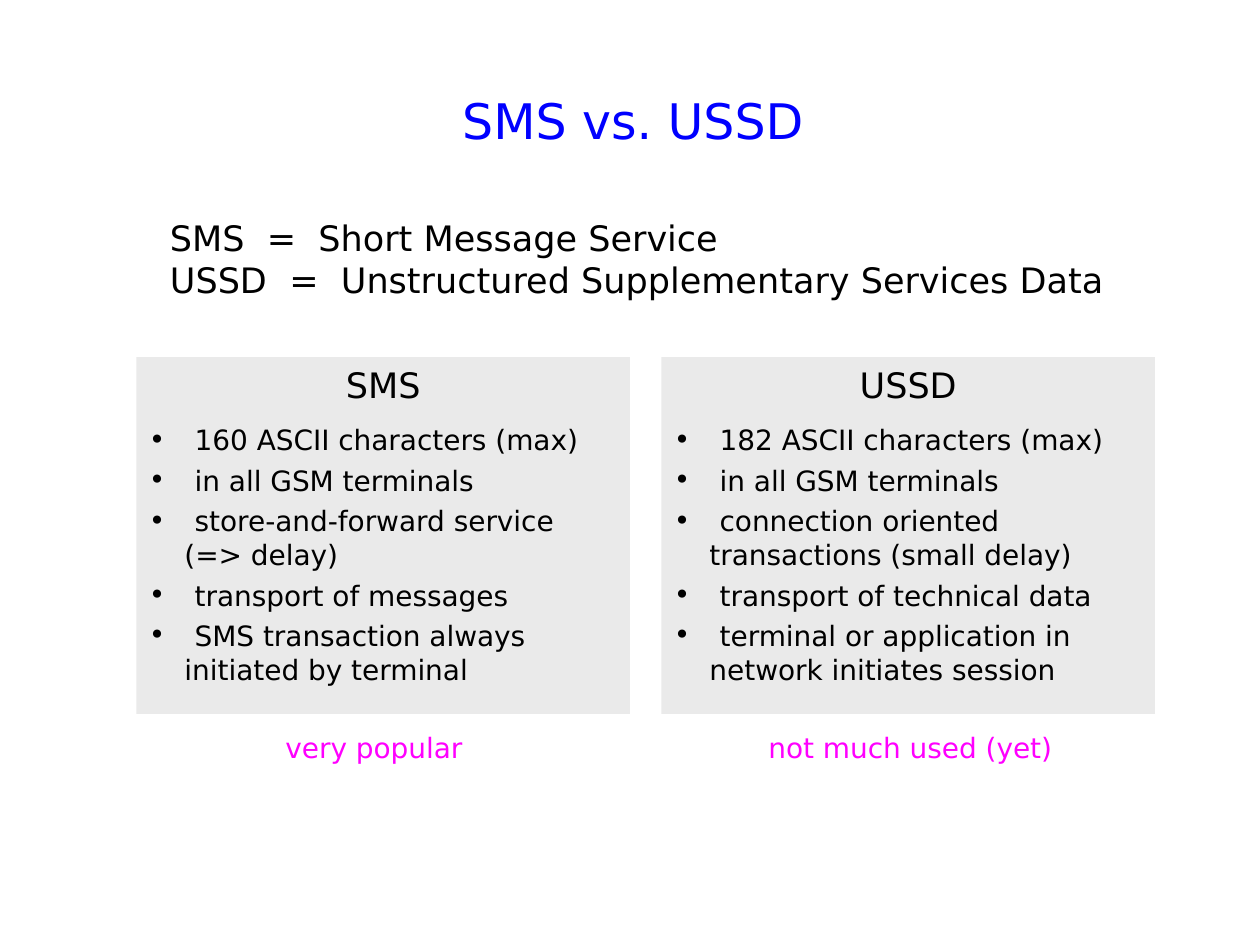
from typing import NamedTuple

from lxml.etree import SubElement as Sub
from pptx import Presentation
from pptx.dml.color import RGBColor as Rgb
from pptx.enum.shapes import MSO_SHAPE as Kind
from pptx.enum.text import MSO_ANCHOR as Anchor, PP_ALIGN as Align
from pptx.oxml.ns import qn
from pptx.util import Pt

HUES = {"title": "0000FF", "text": "000000", "panel": "EAEAEA", "note": "FF00FF"}
FACE = "DejaVu Sans"
HANG = 26.2  # bullet to text
STEP = 20.35  # indent of a second line
GAP = 29.5  # equals sign to meaning


class Box(NamedTuple):
    left: float
    top: float
    width: float
    height: float


class Term(NamedTuple):
    text: str
    stop: float


class Panel(NamedTuple):
    left: float
    head: str
    items: list[tuple[str, ...]]
    note: str
    spot: Box


TERMS = [
    Term("SMS\t=\tShort Message Service", 55.4),
    Term("USSD\t=\tUnstructured Supplementary Services Data", 68.2),
]
PANELS = [
    Panel(78, "SMS", [
        ("160 ASCII characters (max)",),
        ("in all GSM terminals",),
        ("store-and-forward service", "(=> delay)"),
        ("transport of messages",),
        ("SMS transaction always", "initiated by terminal"),
    ], "very popular", Box(156, 414, 120, 30)),
    Panel(378, "USSD", [
        ("182 ASCII characters (max)",),
        ("in all GSM terminals",),
        ("connection oriented", "transactions (small delay)"),
        ("transport of technical data",),
        ("terminal or application in", "network initiates session"),
    ], "not much used (yet)", Box(432, 414, 194.4, 30)),
]


def style(para, size: float, hue: str = "text", **form) -> None:
    form = {"alignment": Align.LEFT, "space_before": Pt(0), "space_after": Pt(0)} | form
    for name, value in form.items():
        setattr(para, name, value)
    for name, value in {"name": FACE, "size": Pt(size)}.items():
        setattr(para.font, name, value)
    para.font.color.rgb = Rgb.from_string(HUES[hue])


def indent(para, left: float, first: float = 0) -> None:
    props = para._p.get_or_add_pPr()
    props.set("marL", str(Pt(left)))
    props.set("indent", str(Pt(first)))


def bullet(para) -> None:
    indent(para, HANG, -HANG)
    props = para._p.get_or_add_pPr()
    tint = Sub(props, qn("a:buClr"))
    Sub(tint, qn("a:srgbClr"), val=HUES["text"])
    Sub(props, qn("a:buFont"), typeface=FACE)
    Sub(props, qn("a:buChar"), char="•")


def tabs(para, *stops: float) -> None:
    row = Sub(para._p.get_or_add_pPr(), qn("a:tabLst"))
    for stop in stops:
        Sub(row, qn("a:tab"), pos=str(Pt(stop)), algn="l")


def add_box(slide, box: Box):
    frame = slide.shapes.add_textbox(*map(Pt, box)).text_frame
    frame.word_wrap = True
    return frame


def add_line(slide, box: Box, text: str, size: float, hue: str, **form) -> None:
    para = add_box(slide, box).paragraphs[0]
    para.text = text
    style(para, size, hue, **form)


def add_terms(slide) -> None:
    frame = add_box(slide, Box(90, 120, 588, 55.2))
    for i, term in enumerate(TERMS):
        para = frame.add_paragraph() if i else frame.paragraphs[0]
        para.text = term.text
        tabs(para, term.stop, term.stop + GAP)
        style(para, 20)


def add_panel(slide, panel: Panel) -> None:
    box = Box(panel.left, 204, 282, 204)
    shape = slide.shapes.add_shape(Kind.RECTANGLE, *map(Pt, box))
    shape.shadow.inherit = False
    shape.fill.solid()
    shape.fill.fore_color.rgb = Rgb.from_string(HUES["panel"])
    shape.line.fill.background()
    frame = shape.text_frame
    frame.word_wrap = True
    frame.vertical_anchor = Anchor.TOP
    head = frame.paragraphs[0]
    head.text = panel.head
    style(head, 20, alignment=Align.CENTER, space_after=Pt(10))
    for item in panel.items:
        for i, text in enumerate(item):
            para = frame.add_paragraph()
            para.text = text
            if i:
                indent(para, STEP)
            else:
                bullet(para)
            last = i == len(item) - 1
            style(para, 16, space_after=Pt(4 if last else 0))
    add_line(slide, panel.spot, panel.note, 16, "note")


def main() -> None:
    deck = Presentation()
    deck.slide_width, deck.slide_height = Pt(720), Pt(540)
    slide = deck.slides.add_slide(deck.slide_layouts[6])
    add_line(slide, Box(48, 48, 636, 41), "SMS vs. USSD ", 28, "title",
             alignment=Align.CENTER)
    add_terms(slide)
    for panel in PANELS:
        add_panel(slide, panel)
    deck.save("out.pptx")


if __name__ == "__main__":
    main()
